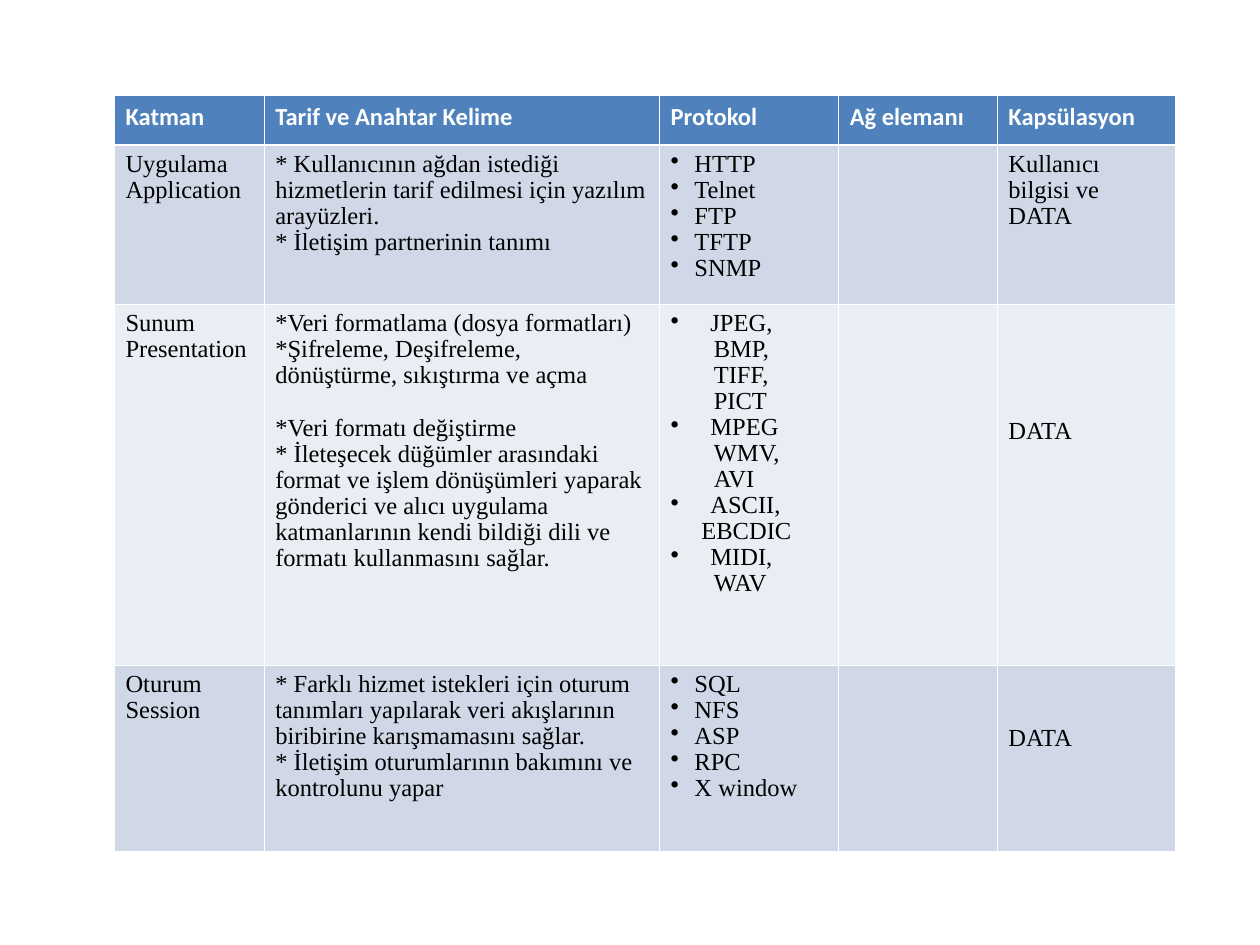
from dataclasses import dataclass, field

from lxml import etree
from pptx import Presentation
from pptx.dml.color import RGBColor
from pptx.oxml.ns import qn
from pptx.util import Cm, Pt


@dataclass(frozen=True)
class Theme:
    """Colours, fonts and sizes of the slide."""
    head: str = "4F81BD"
    bands: tuple = ("D0D8E8", "E9EDF4")
    white: str = "FFFFFF"
    ink: str = "000000"
    sans: str = "Calibri"
    serif: str = "Times New Roman"
    size: float = 14
    lead: float = 0.96
    skip: float = 15.5
    thin: float = 0.45
    thick: float = 1.47


@dataclass(frozen=True)
class Line:
    """One paragraph with its indent in cm and space before in points."""
    text: str
    left: float = 0
    dot: bool = False
    gap: float = 0


@dataclass(frozen=True)
class Box:
    """The lines of one cell and the rows of text left free above them."""
    lines: list = field(default_factory=list)
    drop: int = 0


THEME = Theme()
WIDTHS = (3.02, 7.97, 3.61, 3.2, 3.6)
HEIGHTS = (0.99, 3.22, 7.27, 3.75)
SIDE, TOP, STEP = 0.23, 0.13, 1.09
NEAR, WIDE, DEEP, MID = 0.48, 0.8, 0.87, 0.62


def plain(*texts, drop=0):
    """Return a cell of lines without bullets."""
    return Box([Line(text) for text in texts], drop)


def dots(*texts):
    """Return a cell of bulleted lines."""
    return Box([Line(text, NEAR, True) for text in texts])


def group(name, *subs, left=DEEP):
    """Return a bulleted line and the indented lines below it."""
    return [Line(name, WIDE, True)] + [Line(sub, left) for sub in subs]


HEADS = ("Katman", "Tarif ve Anahtar Kelime", "Protokol", "Ağ elemanı", "Kapsülasyon")
ROWS = (
    (
        plain("Uygulama", "Application"),
        plain("* Kullanıcının ağdan istediği hizmetlerin tarif edilmesi için yazılım arayüzleri.",
              "* İletişim partnerinin tanımı"),
        dots("HTTP", "Telnet", "FTP", "TFTP", "SNMP"),
        Box(),
        plain("Kullanıcı bilgisi ve DATA"),
    ),
    (
        plain("Sunum", "Presentation"),
        Box([
            Line("*Veri formatlama (dosya formatları)"),
            Line("*Şifreleme, Deşifreleme,\vdönüştürme, sıkıştırma ve açma"),
            Line("*Veri formatı değiştirme", gap=THEME.skip),
            Line("* İleteşecek düğümler arasındaki format ve işlem dönüşümleri yaparak "
                 "gönderici ve alıcı uygulama katmanlarının kendi bildiği dili ve "
                 "formatı kullanmasını sağlar."),
        ]),
        Box(group("JPEG,", "BMP,", "TIFF,", "PICT") + group("MPEG", "WMV,", "AVI")
            + group("ASCII,", "EBCDIC", left=MID) + group("MIDI,", "WAV")),
        Box(),
        plain("DATA", drop=4),
    ),
    (
        plain("Oturum", "Session"),
        plain("* Farklı hizmet istekleri için oturum tanımları yapılarak veri akışlarının "
              "biribirine karışmamasını sağlar.",
              "* İletişim oturumlarının bakımını ve kontrolunu yapar"),
        dots("SQL", "NFS", "ASP", "RPC", "X window"),
        Box(),
        plain("DATA", drop=2),
    ),
)


def add_node(root, tag, **attrs):
    """Append a drawing element and return it."""
    return etree.SubElement(root, qn(tag), **attrs)


def add_fill(root, tag, color):
    """Append an element that holds a colour."""
    add_node(add_node(root, tag), "a:srgbClr", val=color)


def edge(cell, row):
    """Draw the four white borders of a cell."""
    props = cell._tc.get_or_add_tcPr()
    thick = {0: "a:lnB", 1: "a:lnT"}.get(row)
    for tag in ("a:lnL", "a:lnR", "a:lnT", "a:lnB"):
        width = THEME.thick if tag == thick else THEME.thin
        add_fill(add_node(props, tag, w=str(Pt(width))), "a:solidFill", THEME.white)


def indent(para, line):
    """Set the left indent and the bullet of a paragraph."""
    props = para._p.get_or_add_pPr()
    props.set("marL", str(Cm(line.left)))
    props.set("indent", str(-Cm(line.left) if line.dot else 0))
    if line.dot:
        add_fill(props, "a:buClr", THEME.ink)
        add_node(props, "a:buChar", char="•")
    else:
        add_node(props, "a:buNone")


def write(frame, lines, face, color, bold, lead):
    """Fill a text frame with styled lines."""
    frame.text = "\n".join(line.text for line in lines)
    for para, line in zip(frame.paragraphs, lines):
        indent(para, line)
        para.line_spacing = lead
        if line.gap:
            para.space_before = Pt(line.gap)
        for run in para.runs:
            font = run.font
            font.name, font.size, font.bold = face, Pt(THEME.size), bold
            font.color.rgb = RGBColor.from_string(color)


def set_cell(cell, box, row):
    """Style one cell and write its text."""
    edge(cell, row)
    fill = THEME.bands[(row - 1) % 2] if row else THEME.head
    cell.fill.solid()
    cell.fill.fore_color.rgb = RGBColor.from_string(fill)
    cell.margin_left = cell.margin_right = Cm(SIDE)
    cell.margin_top = Cm(TOP + box.drop * STEP / 2)
    cell.margin_bottom = Cm(TOP)
    if not box.lines:
        return
    if row:
        write(cell.text_frame, box.lines, THEME.serif, THEME.ink, False, THEME.lead)
    else:
        write(cell.text_frame, box.lines, THEME.sans, THEME.white, True, 1.0)


def add_grid(slide):
    """Add the table of network layers."""
    rows = (tuple(plain(head) for head in HEADS),) + ROWS
    table = slide.shapes.add_table(len(rows), len(WIDTHS), Cm(2.3), Cm(1.93),
                                   Cm(sum(WIDTHS)), Cm(sum(HEIGHTS))).table
    table.horz_banding = False
    for col, width in zip(table.columns, WIDTHS):
        col.width = Cm(width)
    for num, (row, height) in enumerate(zip(rows, HEIGHTS)):
        table.rows[num].height = Cm(height)
        for cell, box in zip(table.rows[num].cells, row):
            set_cell(cell, box, num)


def main():
    """Build the slide and save it."""
    deck = Presentation()
    deck.slide_width, deck.slide_height = Cm(25.4), Cm(19.05)
    add_grid(deck.slides.add_slide(deck.slide_layouts[6]))
    deck.save("out.pptx")


if __name__ == "__main__":
    main()
